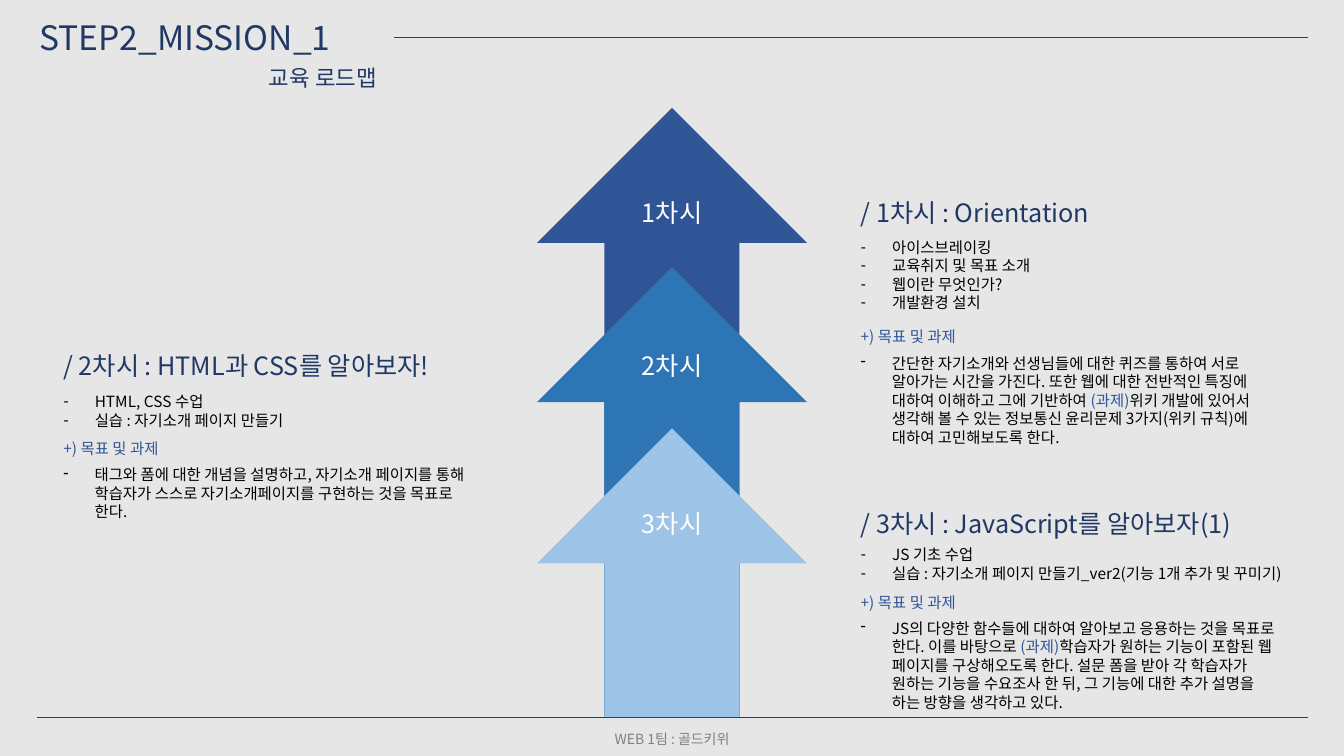
import pptx
import pptx.util
import pptx.dml.color
import pptx.enum.shapes
import pptx.enum.text
import pptx.oxml.ns
import lxml.etree

RGBColor = pptx.dml.color.RGBColor
NAVY = RGBColor(0x20, 0x38, 0x64)
BLUE = RGBColor(0x2F, 0x55, 0x97)
MEDIUM_BLUE = RGBColor(0x2E, 0x75, 0xB6)
LIGHT_BLUE = RGBColor(0x9D, 0xC3, 0xE6)
SLATE = RGBColor(0x33, 0x3F, 0x50)
GRAY = RGBColor(0x80, 0x80, 0x80)
PALE_GRAY = RGBColor(0xE7, 0xE6, 0xE6)
WHITE = RGBColor(0xFF, 0xFF, 0xFF)
BLACK = RGBColor(0, 0, 0)

COLUMNS, ROWS = 40, 30
LEFT_COLUMN, RIGHT_COLUMN = 1.59, 25.32
BASELINE_ROW = 28.48
TASK = ("(과제)", BLUE)

# Each session: label width, arrow top and colour, column, rows of heading,
# topics and goals, placeholder index, heading, topics, goal runs.
SESSIONS = [
    (2.4, 4.28, BLUE, RIGHT_COLUMN, (7.64, 9.24, 12.8), 2,
     "/ 1차시 : Orientation",
     ["아이스브레이킹", "교육취지 및 목표 소개", "웹이란 무엇인가?", "개발환경 설치"],
     ["간단한 자기소개와 선생님들에 대한 퀴즈를 통하여 서로 알아가는 시간을 가진다. "
      "또한 웹에 대한 전반적인 특징에 대하여 이해하고 그에 기반하여 ", TASK,
      "위키 개발에 있어서 생각해 볼 수 있는 정보통신 윤리문제 3가지(위키 규칙)에 "
      "대하여 고민해보도록 한다."]),
    (2.4, 10.6, MEDIUM_BLUE, LEFT_COLUMN, (13.72, 15.36, 17.24), 1,
     "/ 2차시 : HTML과 CSS를 알아보자!",
     ["HTML, CSS 수업", "실습 : 자기소개 페이지 만들기"],
     ["태그와 폼에 대한 개념을 설명하고, 자기소개 페이지를 통해 학습자가 스스로 "
      "자기소개페이지를 구현하는 것을 목표로 한다."]),
    (2.7, 17, LIGHT_BLUE, RIGHT_COLUMN, (19.96, 21.44, 23.32), 4,
     "/ 3차시 : JavaScript를 알아보자(1)",
     ["JS 기초 수업", "실습 : 자기소개 페이지 만들기_ver2(기능 1개 추가 및 꾸미기)"],
     ["JS의 다양한 함수들에 대하여 알아보고 응용하는 것을 목표로 한다. 이를 바탕으로 ",
      TASK,
      "학습자가 원하는 기능이 포함된 웹 페이지를 구상해오도록 한다. 설문 폼을 받아 각 "
      "학습자가 원하는 기능을 수요조사 한 뒤, 그 기능에 대한 추가 설명을 하는 방향을 "
      "생각하고 있다."]),
]


class RoadmapSlide:
    font_name = "Noto Sans CJK KR"
    frame_format = {
        "word_wrap": True,
        "auto_size": pptx.enum.text.MSO_AUTO_SIZE.NONE,
        "vertical_anchor": pptx.enum.text.MSO_ANCHOR.TOP,
    }
    bullet_indent = pptx.util.Inches(0.31)

    def __init__(self, presentation, layout_index):
        self.column = presentation.slide_width / COLUMNS
        self.row = presentation.slide_height / ROWS
        self.slide = presentation.slides.add_slide(
            presentation.slide_layouts[layout_index])
        fill = self.slide.background.fill
        fill.solid()
        fill.fore_color.rgb = PALE_GRAY

    def place(self, left, top, width, height):
        """Turn grid columns and rows into slide lengths."""
        return [round(left * self.column), round(top * self.row),
                round(width * self.column), round(height * self.row)]

    def line(self, left, right, row):
        start_x, y, end_x, _ = self.place(left, row, right, 0)
        connector = self.slide.shapes.add_connector(
            pptx.enum.shapes.MSO_CONNECTOR.STRAIGHT, start_x, y, end_x, y)
        connector.line.color.rgb = SLATE
        connector.line.width = pptx.util.Pt(1)
        lxml.etree.SubElement(connector._element.spPr,
                              pptx.oxml.ns.qn("a:effectLst"))

    def arrow(self, top, color):
        shape = self.slide.shapes.add_shape(
            pptx.enum.shapes.MSO_SHAPE.UP_ARROW,
            *self.place(15.98, top, 8.04, BASELINE_ROW - top))
        shape.shadow.inherit = False
        shape.fill.solid()
        shape.fill.fore_color.rgb = color
        shape.line.fill.background()

    def text(self, area, paragraphs, size, color, bullet=False, placeholder=None,
             alignment=pptx.enum.text.PP_ALIGN.LEFT):
        """Write paragraphs, each a list of plain strings or (string, colour) runs."""
        position = self.place(*area)
        if placeholder is None:
            shape = self.slide.shapes.add_textbox(*position)
        else:
            shape = self.slide.placeholders[placeholder]
            shape.left, shape.top, shape.width, shape.height = position
        frame = shape.text_frame
        for name, value in self.frame_format.items():
            setattr(frame, name, value)
        paragraph_format = {"alignment": alignment, "line_spacing": 1.0,
                            "space_before": pptx.util.Pt(0)}
        for index, runs in enumerate(paragraphs):
            paragraph = frame.add_paragraph() if index else frame.paragraphs[0]
            for name, value in paragraph_format.items():
                setattr(paragraph, name, value)
            if bullet:
                self.add_bullet(paragraph)
            for item in runs:
                words, run_color = (item, color) if isinstance(item, str) else item
                self.add_run(paragraph, words, size, run_color)

    def add_bullet(self, paragraph):
        properties = paragraph._p.get_or_add_pPr()
        properties.set("marL", str(self.bullet_indent))
        properties.set("indent", str(-self.bullet_indent))
        lxml.etree.SubElement(properties, pptx.oxml.ns.qn("a:buChar"), char="-")

    def add_run(self, paragraph, words, size, color):
        run = paragraph.add_run()
        run.text = words
        font_format = {"name": self.font_name, "size": pptx.util.Pt(size), "bold": False}
        for name, value in font_format.items():
            setattr(run.font, name, value)
        run.font.color.rgb = color
        lxml.etree.SubElement(run._r.get_or_add_rPr(), pptx.oxml.ns.qn("a:ea"),
                              typeface=self.font_name)

    def session(self, column, rows, placeholder, heading, topics, goals):
        heading_row, topics_row, goals_row = rows
        self.text((column, heading_row, 13.14, 1.6), [[heading]], 18, NAVY)
        self.text((column, topics_row, 14.3, goals_row - topics_row),
                  [[topic] for topic in topics], 11, BLACK, True, placeholder)
        self.text((column, goals_row, 3.9, 1.16), [["+) 목표 및 과제"]], 11, BLUE)
        self.text((column, goals_row + 1.04, 13.14, 4.12), [goals], 11, BLACK, True)

    def remove_empty_placeholders(self):
        for shape in list(self.slide.placeholders):
            if not shape.text_frame.text:
                shape._element.getparent().remove(shape._element)


def main():
    presentation = pptx.Presentation()
    presentation.slide_width = pptx.util.Inches(13.33)
    presentation.slide_height = pptx.util.Inches(7.5)
    roadmap = RoadmapSlide(presentation, 4)

    roadmap.text((0.87, 0.48, 10.86, 2), [["STEP2_MISSION_1"]], 24, NAVY, placeholder=0)
    roadmap.text((7.71, 2.36, 4.02, 1.48), [["교육 로드맵"]], 16, NAVY)
    roadmap.line(11.73, 38.92, 1.48)
    for _, arrow_top, color, *_ in SESSIONS:
        roadmap.arrow(arrow_top, color)
    for number, (label_width, _, _, column, rows, *content) in enumerate(SESSIONS, 1):
        roadmap.text((18.81, rows[0], label_width, 1.6), [[f"{number}차시"]], 18, WHITE)
        roadmap.session(column, rows, *content)
    roadmap.line(1.11, 38.92, BASELINE_ROW)
    roadmap.text((17.5, 28.8, 5, 1.08), [["WEB 1팀 : 골드키위"]], 10, GRAY,
                 alignment=pptx.enum.text.PP_ALIGN.CENTER)
    roadmap.remove_empty_placeholders()
    presentation.save("out.pptx")


if __name__ == "__main__":
    main()
